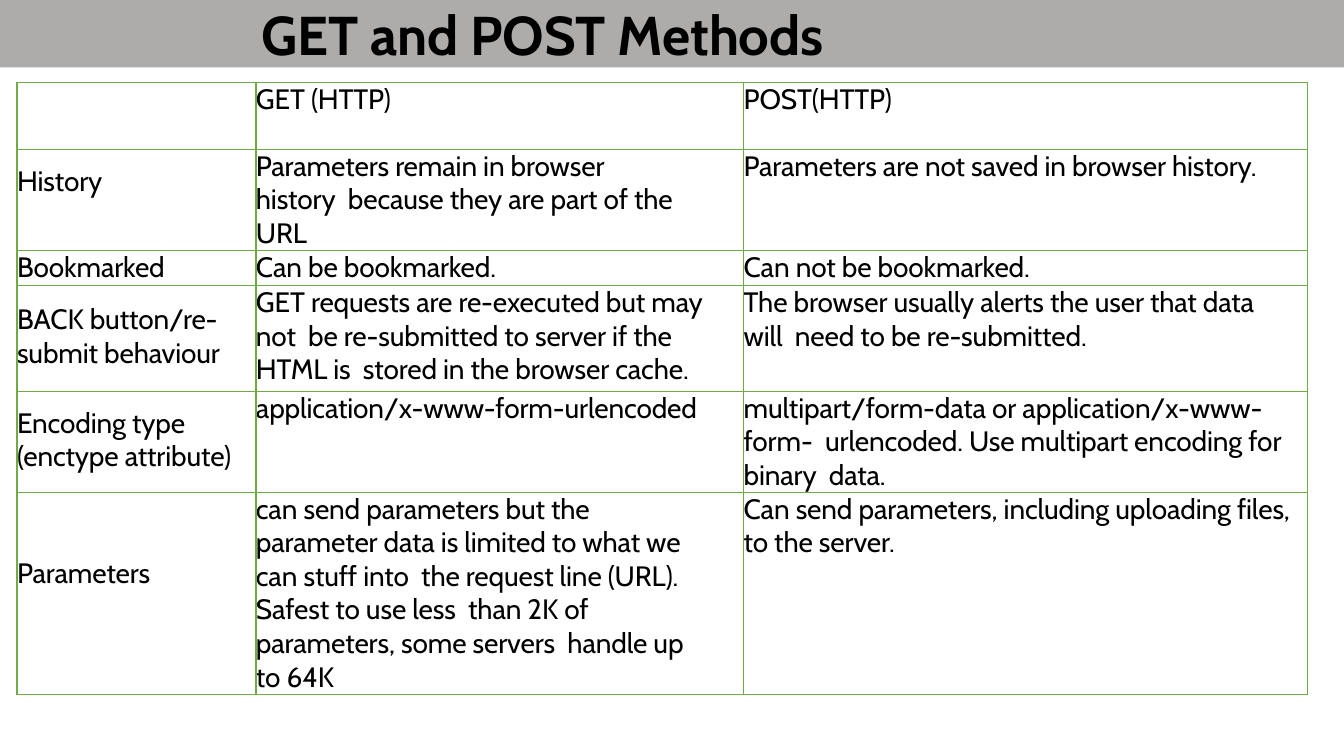
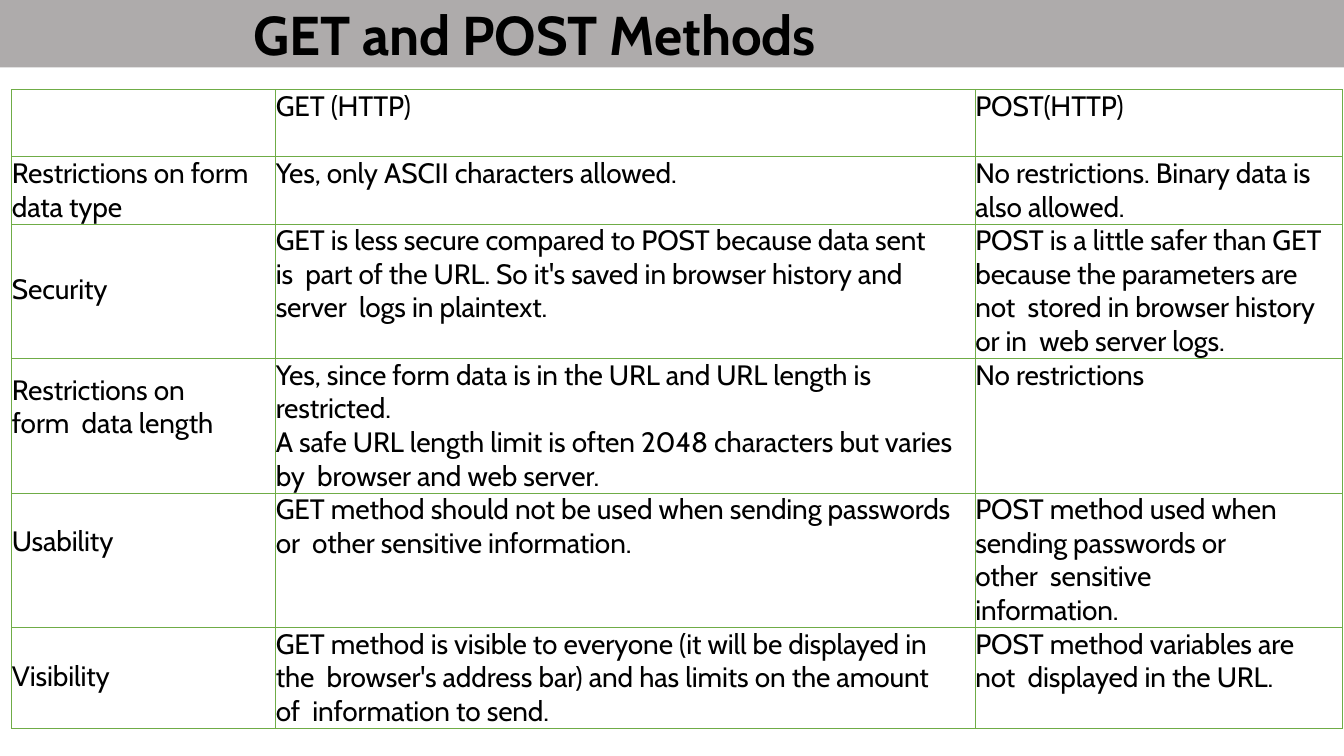
from dataclasses import dataclass

from lxml import etree
from pptx import Presentation
from pptx.dml import color
from pptx.enum import shapes, text
from pptx.oxml import ns
from pptx.util import Cm, Pt

WIDTH, HEIGHT = Cm(33.87), Cm(19.05)
BAND_HEIGHT = Cm(1.7)
FONT = "Cabin"
BLACK, BAND_GREY, BORDER_GREEN = "000000", "AEABAB", "6FAC46"
LINE = Pt(24)
TITLE = "GET and POST Methods"


@dataclass
class Entry:
    """Text of one cell, with its right and top margins in centimetres."""
    text: str
    right: float = 0.2
    top: float = 0


HEADINGS = (2, Entry(""), Entry("GET (HTTP)"), Entry("POST(HTTP)"))

# Each row: height in text lines, label, GET entry, POST entry
BROWSER_ROWS = [
    HEADINGS,
    (3, Entry("History", top=0.38),
     Entry("Parameters remain in browser history  because they are part of the URL", 1.6),
     Entry("Parameters are not saved in browser history.")),
    (1.05, Entry("Bookmarked"), Entry("Can be bookmarked."), Entry("Can not be bookmarked.")),
    (3.15, Entry("BACK button/re-submit behaviour", top=0.44),
     Entry("GET requests are re-executed but may not  be re-submitted to server "
           "if the HTML is  stored in the browser cache.", 0.92),
     Entry("The browser usually alerts the user that data will  need to be re-submitted.", 0.86)),
    (3, Entry("Encoding type (enctype attribute)", top=0.38),
     Entry("application/x-www-form-urlencoded"),
     Entry("multipart/form-data or application/x-www-form-  urlencoded. "
           "Use multipart encoding for binary  data.")),
    (5, Entry("Parameters", top=1.61),
     Entry("can send parameters but the parameter data is limited to what we can stuff into  "
           "the request line (URL). Safest to use less  than 2K of parameters, "
           "some servers  handle up to 64K", 0.92),
     Entry("Can send parameters, including uploading files, to the server.")),
]

DATA_ROWS = [
    HEADINGS,
    (2, Entry("Restrictions on form data type"),
     Entry("Yes, only ASCII characters allowed."),
     Entry("No restrictions. Binary data is also allowed.")),
    (4, Entry("Security", top=1.23),
     Entry("GET is less secure compared to POST because data sent is  part of the URL. "
           "So it's saved in browser history and server  logs in plaintext.", 0.8),
     Entry("POST is a little safer than GET because the parameters are not  stored "
           "in browser history or in  web server logs.", 0.35)),
    (4, Entry("Restrictions on form  data length", 1.25, 0.38),
     Entry("Yes, since form data is in the URL and URL length is restricted.\n"
           "A safe URL length limit is often 2048 characters but varies by  browser "
           "and web server."),
     Entry("No restrictions")),
    (4, Entry("Usability", top=0.81),
     Entry("GET method should not be used when sending passwords or  other "
           "sensitive information."),
     Entry("POST method used when sending passwords or other  sensitive information.", 1.55)),
    (3, Entry("Visibility", top=0.81),
     Entry("GET method is visible to everyone (it will be displayed in the  browser's "
           "address bar) and has limits on the amount of  information to send.", 0.8),
     Entry("POST method variables are not  displayed in the URL.", 0.9)),
]


def rgb(value):
    return color.RGBColor.from_string(value)


def style_paragraph(paragraph, size, bold=False):
    font = paragraph.font
    font.name, font.size, font.bold = FONT, Pt(size), bold
    font.color.rgb = rgb(BLACK)
    # Slightly tightened letter spacing, in hundredths of a point
    paragraph._p.get_or_add_pPr().get_or_add_defRPr().set("spc", "-10")


def add_title_band(slide, title_left):
    band = slide.shapes.add_shape(shapes.MSO_SHAPE.RECTANGLE, 0, 0, WIDTH, BAND_HEIGHT)
    band.shadow.inherit = False
    band.fill.solid()
    band.fill.fore_color.rgb = rgb(BAND_GREY)
    band.line.fill.background()

    title = slide.shapes.add_textbox(title_left, 0, Cm(17), BAND_HEIGHT)
    frame = title.text_frame
    frame.word_wrap = True
    frame.margin_left = frame.margin_right = frame.margin_bottom = 0
    frame.margin_top = Cm(0.03)
    frame.text = TITLE
    style_paragraph(frame.paragraphs[0], 39, bold=True)


def add_borders(cell):
    properties = cell._tc.get_or_add_tcPr()
    for side in ("lnL", "lnR", "lnT", "lnB"):
        line = etree.SubElement(properties, ns.qn(f"a:{side}"), w=str(Pt(1)))
        fill = etree.SubElement(line, ns.qn("a:solidFill"))
        etree.SubElement(fill, ns.qn("a:srgbClr"), val=BORDER_GREEN)


def fill_cell(cell, entry):
    add_borders(cell)
    cell.fill.background()
    cell.margin_left = cell.margin_bottom = 0
    cell.margin_right, cell.margin_top = Cm(entry.right), Cm(entry.top)
    cell.vertical_anchor = text.MSO_ANCHOR.TOP
    cell.text = entry.text
    for paragraph in cell.text_frame.paragraphs:
        style_paragraph(paragraph, 20)
        paragraph.line_spacing = LINE


def add_comparison(slide, left, top, column_widths, rows):
    heights = [int(LINE * row[0]) for row in rows]
    table = slide.shapes.add_table(len(rows), len(column_widths), left, top,
                                   sum(column_widths), sum(heights)).table
    table.first_row = table.horz_banding = False
    for column, width in zip(table.columns, column_widths):
        column.width = width
    for table_row, height, (_, *entries) in zip(table.rows, heights, rows):
        table_row.height = height
        for cell, entry in zip(table_row.cells, entries):
            fill_cell(cell, entry)


def add_methods_slide(presentation, title_left, table_left, table_top, column_widths, rows):
    slide = presentation.slides.add_slide(presentation.slide_layouts[6])
    add_title_band(slide, title_left)
    add_comparison(slide, table_left, table_top, column_widths, rows)


def main():
    presentation = Presentation()
    presentation.slide_width, presentation.slide_height = WIDTH, HEIGHT
    add_methods_slide(presentation, Cm(6.58), Cm(0.43), Cm(2.08),
                      [Cm(6.02), Cm(12.29), Cm(14.22)], BROWSER_ROWS)
    add_methods_slide(presentation, Cm(6.38), Cm(0.3), Cm(2.26),
                      [Cm(6.65), Cm(17.63), Cm(9.25)], DATA_ROWS)
    presentation.save("out.pptx")


if __name__ == "__main__":
    main()
